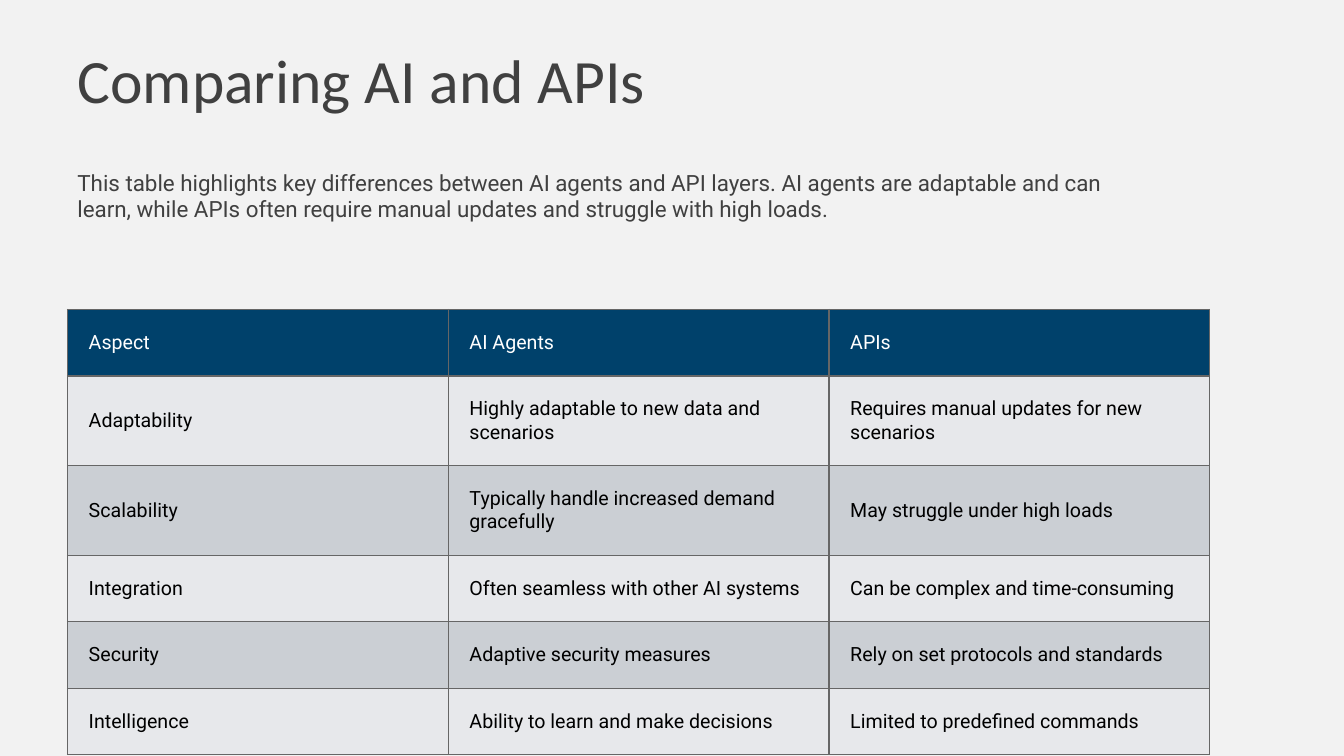
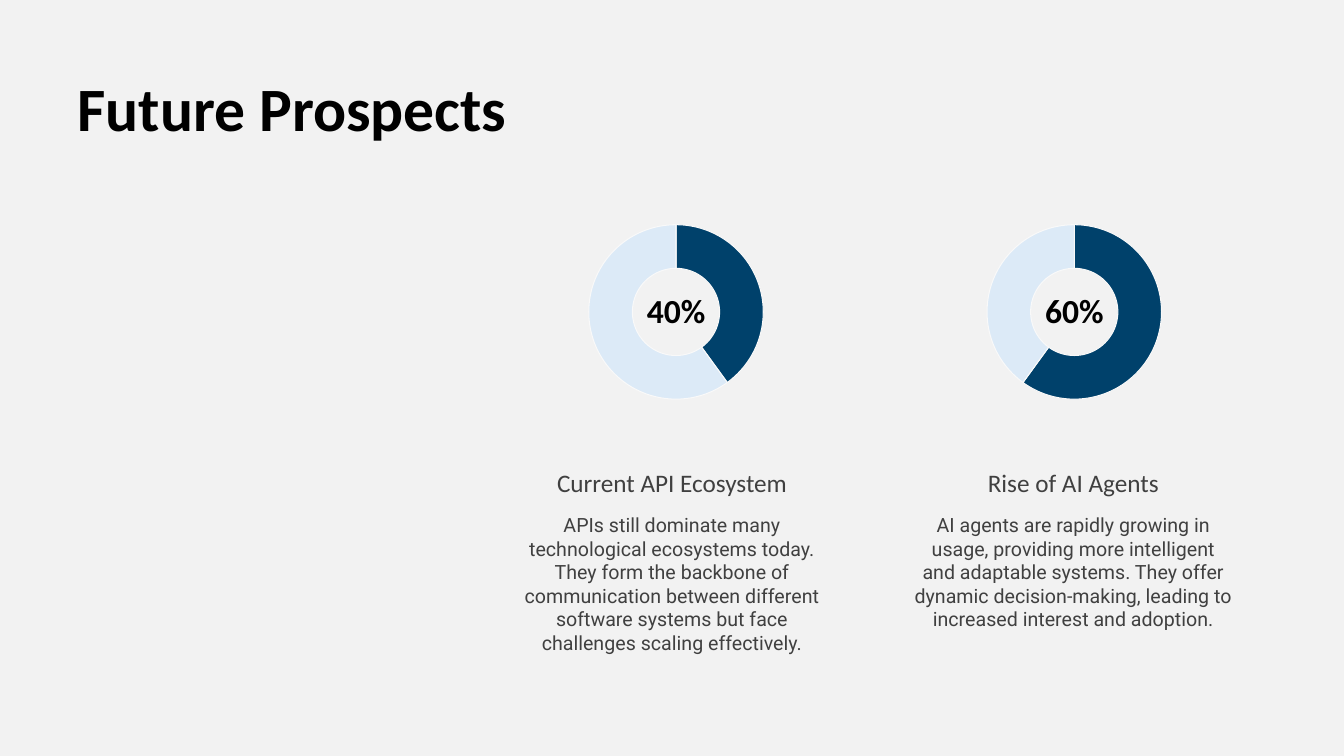
from lxml import etree
from pptx import Presentation
from pptx import util as u
from pptx.chart.data import CategoryChartData
from pptx.dml.color import RGBColor
from pptx.enum import chart as ch, text
from pptx.oxml import parse_xml
from pptx.oxml.ns import nsdecls, qn

NAVY = RGBColor(0x00, 0x41, 0x6B)
PALE = RGBColor(0xDC, 0xEA, 0xF7)
PAGE = RGBColor(0xF2, 0xF2, 0xF2)
INK = RGBColor(0x40, 0x40, 0x40)
BLACK = RGBColor(0x00, 0x00, 0x00)
WHITE = RGBColor(0xFF, 0xFF, 0xFF)
BAND_LIGHT = RGBColor(0xE7, 0xE8, 0xEB)
BAND_DARK = RGBColor(0xCB, 0xCF, 0xD4)
RULE = RGBColor(0x66, 0x66, 0x66)
RING_EDGE = RGBColor(0xF9, 0xF9, 0xF9)

HEAD, BODY = "Calibri", "Roboto"
LEFT = 0.67
CENTER, START = text.PP_ALIGN.CENTER, text.PP_ALIGN.LEFT
TOP, MIDDLE, BOTTOM = (text.MSO_ANCHOR.TOP, text.MSO_ANCHOR.MIDDLE,
                       text.MSO_ANCHOR.BOTTOM)

INTRO = ("This table highlights key differences between AI agents and API layers. "
         "AI agents are adaptable and can learn, while APIs often require manual "
         "updates and struggle with high loads.")
ROWS = [
    ("Aspect", "AI Agents", "APIs"),
    ("Adaptability", "Highly adaptable to new data and scenarios",
     "Requires manual updates for new scenarios"),
    ("Scalability", "Typically handle increased demand gracefully",
     "May struggle under high loads"),
    ("Integration", "Often seamless with other AI systems",
     "Can be complex and time-consuming"),
    ("Security", "Adaptive security measures",
     "Rely on set protocols and standards"),
    ("Intelligence", "Ability to learn and make decisions",
     "Limited to predefined commands"),
]
ROW_HEIGHTS = [0.66, 0.89, 0.89, 0.66, 0.66, 0.66]
TABLE_TOP, TABLE_WIDTH, CELL_INSET = 3.07, 11.33, 0.21

PROSPECTS = [
    (40, "Current API Ecosystem",
     "APIs still dominate many technological ecosystems today. They form the "
     "backbone of communication between different software systems but face "
     "challenges scaling effectively."),
    (60, "Rise of AI Agents",
     "AI agents are rapidly growing in usage, providing more intelligent and "
     "adaptable systems. They offer dynamic decision-making, leading to "
     "increased interest and adoption."),
]
RING_LEFT, RING_TOP, RING_SIZE, RING_PITCH = 5.71, 2.1, 1.99, 3.95
RING_SHARE = 0.87
TEXT_LEFT, TEXT_WIDTH, TEXT_PITCH = 4.99, 3.35, 3.98


def inches(*values):
    return [u.Inches(v) for v in values]


def style_font(font, size, name, color, bold=False):
    for key, value in dict(size=u.Pt(size), name=name, bold=bold).items():
        setattr(font, key, value)
    font.color.rgb = color


def write(tf, words, size, name, color, bold=False, align=START, anchor=MIDDLE):
    formats = dict(word_wrap=True, auto_size=text.MSO_AUTO_SIZE.NONE,
                   vertical_anchor=anchor)
    for key, value in formats.items():
        setattr(tf, key, value)
    p = tf.paragraphs[0]
    p.alignment = align
    r = p.add_run()
    r.text = words
    style_font(r.font, size, name, color, bold)


def add_text(s, box, *args, **kwargs):
    write(s.shapes.add_textbox(*inches(*box)).text_frame, *args, **kwargs)


def add_slide(prs, title, top, height, color, bold=False):
    s = prs.slides.add_slide(prs.slide_layouts[5])
    sp = s.shapes.title
    sp.left, sp.top, sp.width, sp.height = inches(LEFT, top, 12, height)
    write(sp.text_frame, title, 44, HEAD, color, bold)
    return s


def add_borders(cell):
    props = cell._tc.get_or_add_tcPr()
    for i, side in enumerate("LRTB"):
        props.insert(i, parse_xml(
            f'<a:ln{side} {nsdecls("a")} w="{u.Pt(1)}"><a:solidFill>'
            f'<a:srgbClr val="{RULE}"/></a:solidFill></a:ln{side}>'))


def add_comparison(s):
    n = len(ROWS[0])
    table = s.shapes.add_table(len(ROWS), n, *inches(
        LEFT, TABLE_TOP, TABLE_WIDTH, sum(ROW_HEIGHTS))).table
    table.horz_banding = False
    for col in table.columns:
        col.width = u.Inches(TABLE_WIDTH / n)
    for i, (words, height) in enumerate(zip(ROWS, ROW_HEIGHTS)):
        table.rows[i].height = u.Inches(height)
        fill = NAVY if i == 0 else BAND_LIGHT if i % 2 else BAND_DARK
        for j, word in enumerate(words):
            cell = table.cell(i, j)
            cell.vertical_anchor = MIDDLE
            for side in ("left", "right", "top", "bottom"):
                setattr(cell, f"margin_{side}", u.Inches(CELL_INSET))
            cell.fill.solid()
            cell.fill.fore_color.rgb = fill
            add_borders(cell)
            p = cell.text_frame.paragraphs[0]
            r = p.add_run()
            r.text = word
            style_font(r.font, 14, BODY, BLACK if i else WHITE)


def place_ring(chart):
    area = chart._chartSpace.find(".//" + qn("c:plotArea"))
    for old in area.findall(qn("c:layout")):
        area.remove(old)
    layout = etree.Element(qn("c:layout"))
    manual = etree.SubElement(layout, qn("c:manualLayout"))
    margin = round((1 - RING_SHARE) / 2, 3)
    for tag, value in [("layoutTarget", "inner"), ("xMode", "edge"),
                       ("yMode", "edge"), ("x", margin), ("y", margin),
                       ("w", RING_SHARE), ("h", RING_SHARE)]:
        etree.SubElement(manual, qn(f"c:{tag}")).set("val", str(value))
    area.insert(0, layout)
    area.find(".//" + qn("c:holeSize")).set("val", "90")


def add_ring(s, left, share):
    data = CategoryChartData()
    data.categories = ["1", "2"]
    data.add_series("Series 1", (share, 100 - share))
    chart = s.shapes.add_chart(ch.XL_CHART_TYPE.DOUGHNUT, *inches(
        left, RING_TOP, RING_SIZE, RING_SIZE), data).chart
    chart.has_title = chart.has_legend = False
    style_font(chart.font, 10, BODY, BLACK)
    plot = chart.plots[0]
    plot.has_data_labels = False
    for i, color in enumerate((NAVY, PALE)):
        fmt = plot.series[0].points[i].format
        fmt.fill.solid()
        fmt.fill.fore_color.rgb = color
        fmt.line.color.rgb = RING_EDGE
        fmt.line.width = u.Pt(0.75)
    place_ring(chart)


def add_prospect(s, i, share, heading, body):
    ring = RING_LEFT + i * RING_PITCH
    left = TEXT_LEFT + i * TEXT_PITCH
    add_ring(s, ring, share)
    add_text(s, (ring + (RING_SIZE - 1) / 2, 2.83, 1, 0.5), f"{share}%",
             24, HEAD, BLACK, bold=True, align=CENTER)
    add_text(s, (left, 4.18, TEXT_WIDTH, 0.81), heading,
             18, HEAD, INK, align=CENTER, anchor=BOTTOM)
    add_text(s, (left, 5.04, TEXT_WIDTH, 1.44), body,
             14, BODY, INK, align=CENTER, anchor=TOP)


def main():
    prs = Presentation()
    prs.slide_width, prs.slide_height = inches(13.33, 7.5)
    page = prs.slide_master.background.fill
    page.solid()
    page.fore_color.rgb = PAGE

    s = add_slide(prs, "Comparing AI and APIs", 0.25, 1.06, INK)
    add_text(s, (LEFT, 1.58, 10.76, 0.72), INTRO, 16, BODY, INK)
    add_comparison(s)

    s = add_slide(prs, "Future Prospects", 0.39, 1.33, BLACK, bold=True)
    for i, prospect in enumerate(PROSPECTS):
        add_prospect(s, i, *prospect)

    prs.save("out.pptx")


if __name__ == "__main__":
    main()
